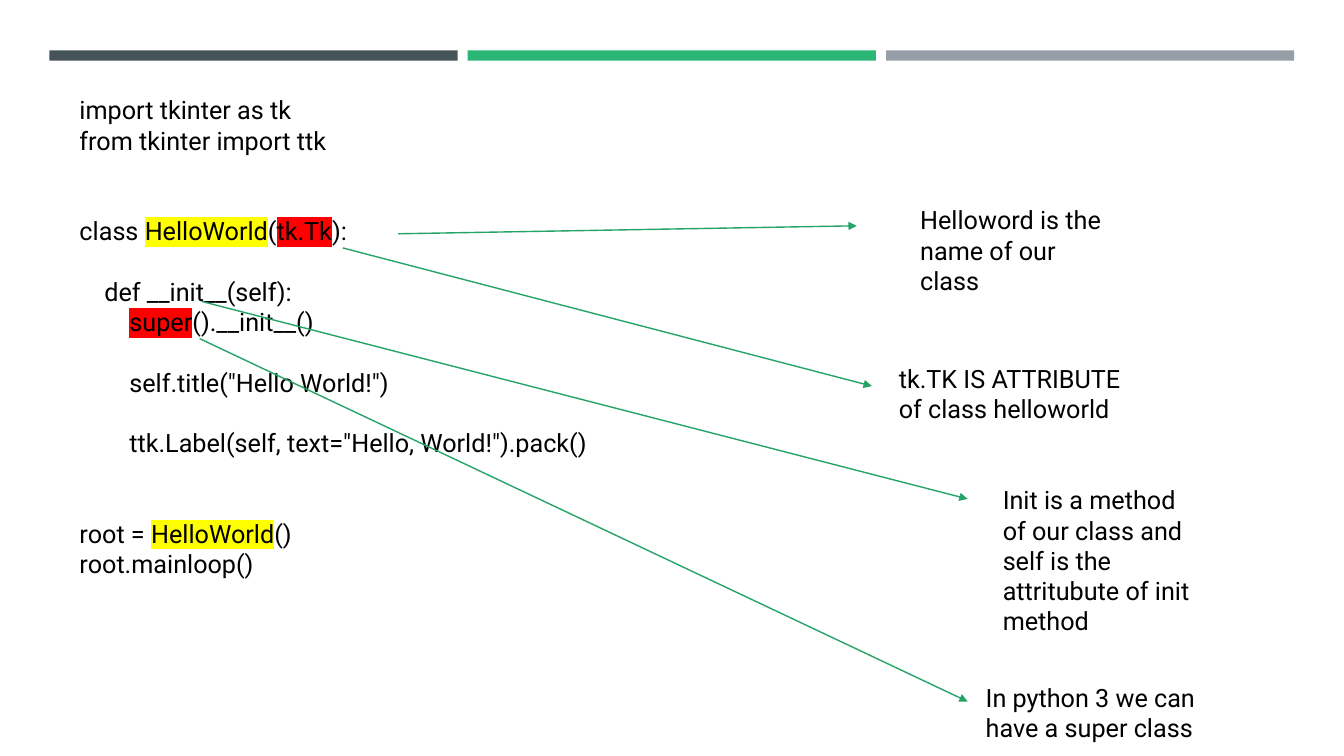
from lxml import etree
from pptx import Presentation
from pptx.dml.color import RGBColor
from pptx.enum import shapes as sh, text as tx
from pptx.oxml.ns import qn
from pptx.util import Pt

SLATE = RGBColor(0x46, 0x53, 0x59)
GREEN = RGBColor(0x2A, 0xB6, 0x74)
GRAY = RGBColor(0x96, 0x9F, 0xA7)
ARROW_GREEN = RGBColor(0x26, 0xA4, 0x68)
BLACK = RGBColor(0, 0, 0)
YELLOW = RGBColor(0xFF, 0xFF, 0)
RED = RGBColor(0xFF, 0, 0)

FONT = "Roboto"
FONT_SIZE = 18
LINE_HEIGHT = 21.6

# Each code line: empty lines above it, then (words, highlight) pieces
CODE = [
    (0, [("import tkinter as tk", None)]),
    (0, [("from tkinter import ttk", None)]),
    (2, [("class ", None), ("HelloWorld", YELLOW), ("(", None),
         ("tk.Tk", RED), ("):", None)]),
    (1, [("    def __init__(self):", None)]),
    (0, [("        ", None), ("super", RED), ("().__init__()", None)]),
    (1, [('        self.title("Hello World!")', None)]),
    (1, [('        ttk.Label(self, text="Hello, World!").pack()', None)]),
    (2, [("root = ", None), ("HelloWorld", YELLOW), ("()", None)]),
    (0, [("root.mainloop()", None)]),
]

# Each note: words, box (left, top, width, height), arrow start, arrow tip
NOTES = [
    ("Helloword is the name of our class",
     (650.2, 142.6, 148.3, 72.7), (284.4, 167), (612, 161.3)),
    ("tk.TK IS ATTRIBUTE of class helloworld",
     (635, 255.6, 175.7, 72.7), (244.8, 177.1), (622.8, 275.8)),
    ("Init is a method of our class and self is the attritubute of init method",
     (709.2, 342.7, 148.3, 116.6), (144, 215.3), (691.2, 356.4)),
    ("In python 3 we can have a super class",
     (697, 483.8, 175.7, 51.1), (142.6, 241.9), (691.2, 501.1)),
]


def add_header_bars(slide, left, top, width, height, gap=7.2):
    colors = (SLATE, GREEN, GRAY)
    bar_width = (width - gap * (len(colors) - 1)) / len(colors)
    for i, color in enumerate(colors):
        bar = slide.shapes.add_shape(
            sh.MSO_SHAPE.RECTANGLE, Pt(left + i * (bar_width + gap)), Pt(top),
            Pt(bar_width), Pt(height))
        bar.shadow.inherit = False
        bar.fill.solid()
        bar.fill.fore_color.rgb = color
        bar.line.fill.background()


def add_text_frame(slide, box):
    frame = slide.shapes.add_textbox(*map(Pt, box)).text_frame
    frame.word_wrap = True
    frame.auto_size = tx.MSO_AUTO_SIZE.SHAPE_TO_FIT_TEXT
    return frame


def format_run(run, highlight=None):
    run.font.size = Pt(FONT_SIZE)
    run.font.color.rgb = BLACK
    if highlight is not None:
        mark = etree.SubElement(run.font._element, qn("a:highlight"))
        etree.SubElement(mark, qn("a:srgbClr"), val=str(highlight))
    run.font.name = FONT


def add_code(slide, box):
    frame = add_text_frame(slide, box)
    for i, (empty_lines, pieces) in enumerate(CODE):
        line = frame.add_paragraph() if i else frame.paragraphs[0]
        if empty_lines:
            line.space_before = Pt(empty_lines * LINE_HEIGHT)
        for words, highlight in pieces:
            run = line.add_run()
            run.text = words
            format_run(run, highlight)


def add_arrow(slide, start, tip):
    arrow = slide.shapes.add_connector(
        sh.MSO_CONNECTOR.STRAIGHT, *map(Pt, start + tip))
    arrow.line.color.rgb = ARROW_GREEN
    arrow.line.width = Pt(1)
    etree.SubElement(arrow.line._get_or_add_ln(), qn("a:tailEnd"), type="triangle")
    etree.SubElement(arrow._element.spPr, qn("a:effectLst"))


def add_note(slide, words, box, start, tip):
    add_arrow(slide, start, tip)
    frame = add_text_frame(slide, box)
    frame.text = words
    format_run(frame.paragraphs[0].runs[0])


def main():
    deck = Presentation()
    deck.slide_width, deck.slide_height = Pt(960), Pt(540)
    slide = deck.slides.add_slide(deck.slide_layouts[6])
    add_header_bars(slide, 35.3, 36, 889.2, 7.4)
    add_code(slide, (49.7, 64.1, 522, 356.4))
    for note in NOTES:
        add_note(slide, *note)
    deck.save("out.pptx")


if __name__ == "__main__":
    main()
